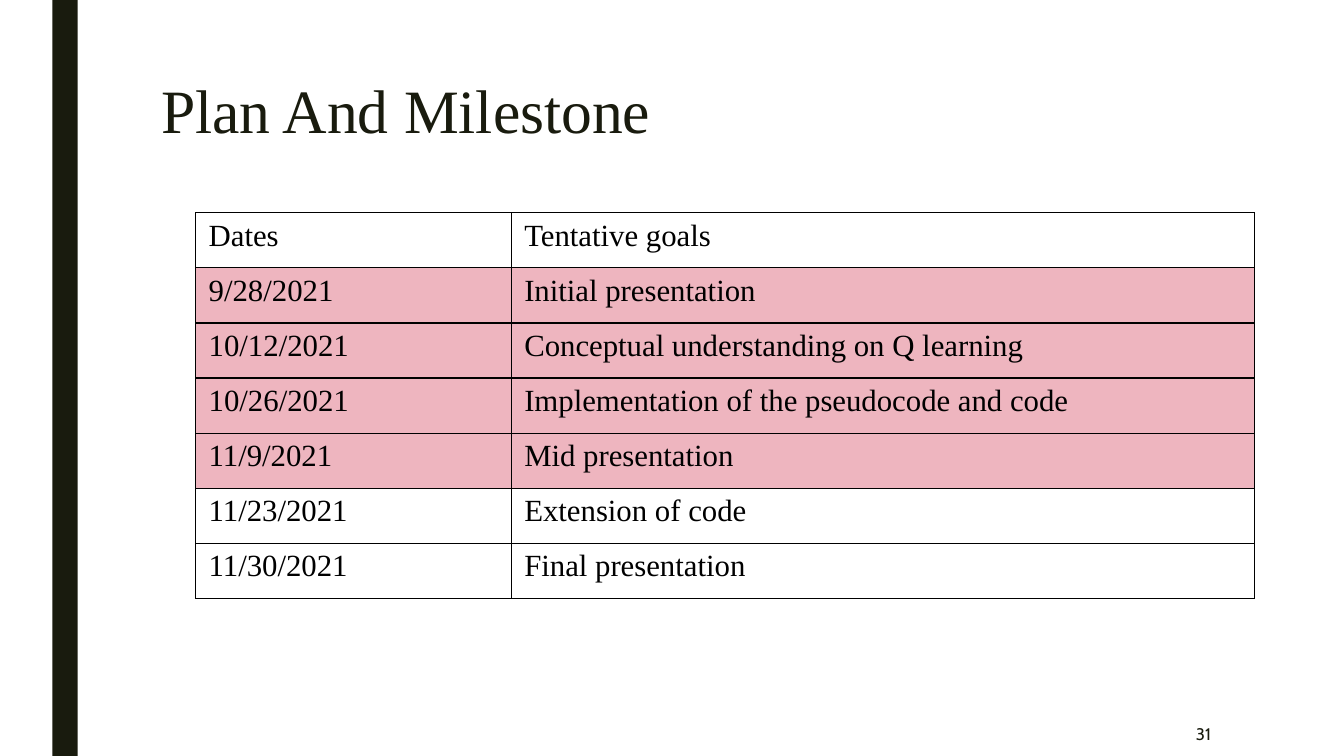
from lxml import etree
from pptx import Presentation
from pptx.dml.color import RGBColor
from pptx.enum.shapes import MSO_SHAPE
from pptx.enum.text import MSO_ANCHOR, PP_ALIGN
from pptx.oxml.ns import qn
from pptx.util import Inches, Pt

RECT = MSO_SHAPE.RECTANGLE
TOP, MIDDLE = MSO_ANCHOR.TOP, MSO_ANCHOR.MIDDLE
LEFT, RIGHT = PP_ALIGN.LEFT, PP_ALIGN.RIGHT
DARK, BLACK, PINK = "191B0E", "000000", "EEB5BF"
SERIF = "Times New Roman"

MILESTONES = [
    ("Dates", "Tentative goals"),
    ("9/28/2021", "Initial presentation"),
    ("10/12/2021", "Conceptual understanding on Q learning"),
    ("10/26/2021", "Implementation of the pseudocode and code"),
    ("11/9/2021", "Mid presentation"),
    ("11/23/2021", "Extension of code"),
    ("11/30/2021", "Final presentation"),
]
DONE_ROWS = range(1, 5)
COL_WIDTHS = (3.13, 7.37)
TABLE_HEIGHT = 3.83


def rgb(color):
    return RGBColor.from_string(color)


def write(tf, text, size, font=SERIF, color=BLACK, align=LEFT, spacing=None):
    tf.word_wrap = True
    p = tf.paragraphs[0]
    p.alignment = align
    p.line_spacing = spacing
    r = p.add_run()
    r.text = text
    r.font.size = Pt(size)
    r.font.name = font
    r.font.color.rgb = rgb(color)


prs = Presentation()
prs.slide_width, prs.slide_height = Inches(13.33), Inches(7.5)
slide = prs.slides.add_slide(prs.slide_layouts[6])

# Side bar
bar = slide.shapes.add_shape(RECT, Inches(0.52), 0, Inches(0.25), prs.slide_height)
bar.shadow.inherit = False
bar.fill.solid()
bar.fill.fore_color.rgb = rgb(DARK)
bar.line.fill.background()

# Title
title = slide.shapes.add_textbox(Inches(1.5), Inches(0.75), Inches(10.5), Inches(1.62))
title.text_frame.vertical_anchor = TOP
write(title.text_frame, "Plan And Milestone", 44, color=DARK, spacing=0.89)

# Milestone table
table = slide.shapes.add_table(
    len(MILESTONES), len(COL_WIDTHS), Inches(1.94), Inches(2.11),
    Inches(sum(COL_WIDTHS)), Inches(TABLE_HEIGHT)).table
table.first_row = table.horz_banding = False
for column, width in zip(table.columns, COL_WIDTHS):
    column.width = Inches(width)
for i, milestone in enumerate(MILESTONES):
    table.rows[i].height = Inches(TABLE_HEIGHT / len(MILESTONES))
    for j, text in enumerate(milestone):
        cell = table.cell(i, j)
        cell.margin_left = cell.margin_right = Inches(0.13)
        cell.margin_top = cell.margin_bottom = Inches(0.06)
        write(cell.text_frame, text, 22)
        tc_pr = cell._tc.get_or_add_tcPr()
        for side in ("a:lnL", "a:lnR", "a:lnT", "a:lnB"):
            ln = etree.SubElement(tc_pr, qn(side), w=str(Pt(1)))
            solid = etree.SubElement(ln, qn("a:solidFill"))
            etree.SubElement(solid, qn("a:srgbClr"), val=BLACK)
        if i in DONE_ROWS:
            cell.fill.solid()
            cell.fill.fore_color.rgb = rgb(PINK)
        else:
            cell.fill.background()

# Slide number
number = slide.shapes.add_textbox(Inches(10.36), Inches(7.06), Inches(1.75), Inches(0.44))
number.text_frame.vertical_anchor = MIDDLE
write(number.text_frame, "31", 12, font="Cabin", color=DARK, align=RIGHT)

prs.save("out.pptx")
